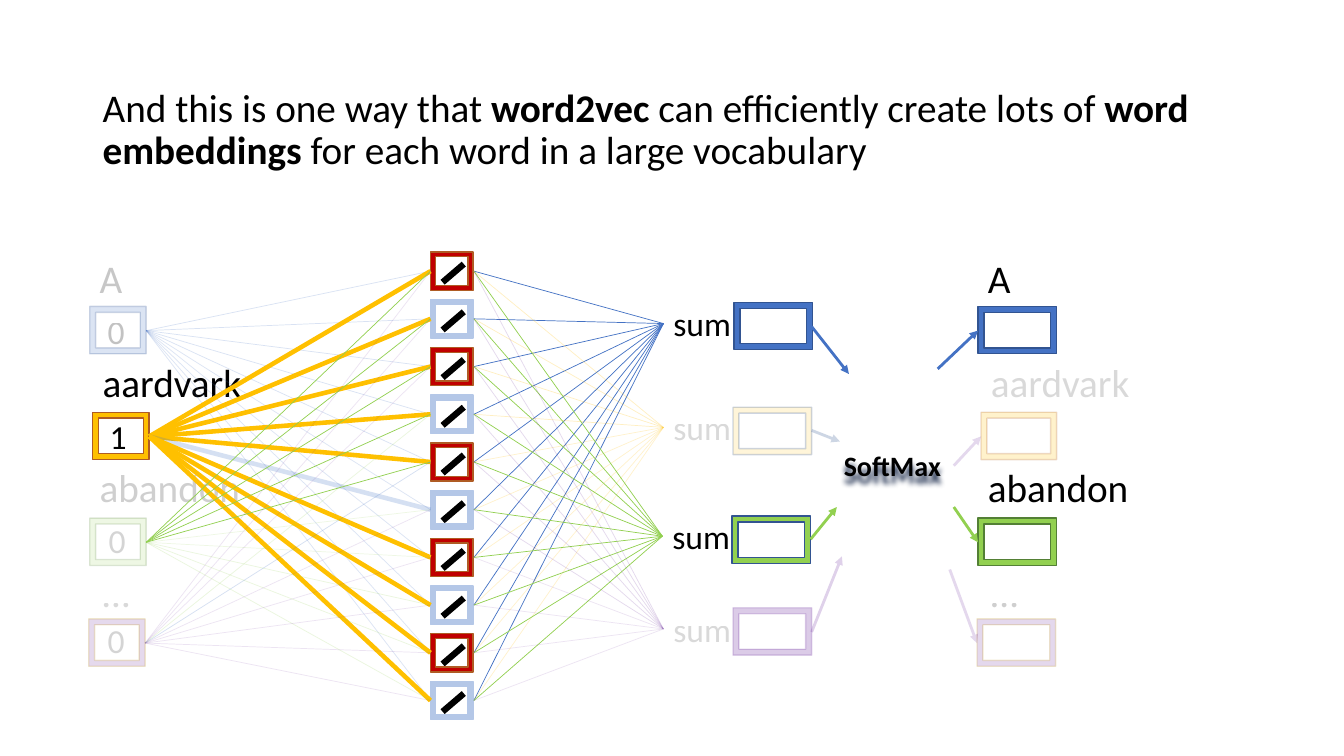
import dataclasses

import lxml.etree
import pptx
import pptx.dml.color
import pptx.enum.shapes
import pptx.oxml.ns
import pptx.util

Inches = pptx.util.Inches
Pt = pptx.util.Pt
qn = pptx.oxml.ns.qn


@dataclasses.dataclass(frozen=True)
class Theme:
    font: str = "Calibri"
    black: str = "000000"
    blue: str = "4472C4"
    navy: str = "325491"
    gold: str = "FFC000"
    rust: str = "AF5C24"
    green: str = "92D050"
    moss: str = "538035"
    purple: str = "7030A0"
    ochre: str = "BD8E00"
    red: str = "C00000"
    pale: str = "B4C7E7"
    shadow: str = "203050"
    word: int = 28
    value: int = 24
    softmax: int = 20
    thin: float = 0.5
    outline: float = 1
    arrow: float = 2
    weight: float = 3.25
    slash: float = 4.5


THEME = Theme()
NEURON_COUNT = 10
NEURON_LEFT, NEURON_RIGHT = 4.27, 4.7
FIRST_CENTRE, LAST_CENTRE = 2.69, 6.95
NEURON_STEP = (LAST_CENTRE - FIRST_CENTRE) / (NEURON_COUNT - 1)
CENTRES = [FIRST_CENTRE + NEURON_STEP * index for index in range(NEURON_COUNT)]
BOX_HEIGHT = 0.47


def paint(fill, colour, opacity=100):
    fill.solid()
    fill.fore_color.rgb = pptx.dml.color.RGBColor.from_string(colour)
    if opacity < 100:
        node = fill._xPr.find(".//" + qn("a:srgbClr"))
        lxml.etree.SubElement(node, qn("a:alpha"), val=str(opacity * 1000))


def add_text(slide, runs, left, top, width, height, size, opacity=100, wrap=True):
    box = slide.shapes.add_textbox(Inches(left), Inches(top), Inches(width), Inches(height))
    box.text_frame.word_wrap = wrap
    paragraph = box.text_frame.paragraphs[0]
    paragraph.font.name = THEME.font
    paragraph.font.size = Pt(size)
    paint(paragraph.font.fill, THEME.black, opacity)
    for text, bold in runs:
        run = paragraph.add_run()
        run.text = text
        run.font.bold = bold
    return box


def add_frame(slide, left, top, width, height, colour, outline, opacity=100, line_opacity=100):
    shape = slide.shapes.add_shape(
        pptx.enum.shapes.MSO_SHAPE.FRAME, Inches(left), Inches(top), Inches(width), Inches(height))
    shape.shadow.inherit = False
    paint(shape.fill, colour, opacity)
    shape.line.width = Pt(THEME.outline)
    paint(shape.line.fill, outline, line_opacity)


def add_line(slide, start, end, colour, width, opacity=100, arrow=False):
    connector = slide.shapes.add_connector(
        pptx.enum.shapes.MSO_CONNECTOR.STRAIGHT, *map(Inches, start + end))
    connector.line.width = Pt(width)
    paint(connector.line.fill, colour, opacity)
    if arrow:
        lxml.etree.SubElement(connector.line.fill._xPr, qn("a:tailEnd"), type="triangle")
    lxml.etree.SubElement(connector._element.spPr, qn("a:effectLst"))


def add_fan(slide, origin, edge, width, strokes):
    for centre, (colour, opacity) in zip(CENTRES, strokes):
        add_line(slide, origin, (edge, centre), colour, width, opacity)


def add_softmax(slide):
    box = add_text(slide, [("SoftMax", True)], 8.27, 4.4, 1.19, 0.44, THEME.softmax)
    effects = lxml.etree.SubElement(box._element.spPr, qn("a:effectLst"))
    shadow = lxml.etree.SubElement(
        effects, qn("a:outerShdw"), blurRad=str(Pt(4)), dist=str(Pt(5)), dir="5400000")
    lxml.etree.SubElement(shadow, qn("a:srgbClr"), val=THEME.shadow)


def add_words(slide):
    for text, left, top, opacity in [
        ("A", 0.89, 2.47, 21), ("aardvark", 0.92, 3.51, 100),
        ("abandon", 0.89, 4.55, 18), ("…", 0.92, 5.59, 15),
        ("A", 9.7, 2.47, 100), ("aardvark", 9.73, 3.51, 15),
        ("abandon", 9.7, 4.55, 100), ("…", 9.73, 5.59, 18),
    ]:
        add_text(slide, [(text, False)], left, top, 1.63, 0.57, THEME.word, opacity)


def add_boxes(slide):
    t = THEME
    for left, top, width, colour, outline, opacity, line_opacity in [
        (0.89, 3.04, 0.56, t.blue, t.navy, 19, 21),
        (0.92, 4.09, 0.56, t.gold, t.rust, 100, 100),
        (0.89, 5.14, 0.56, t.green, t.moss, 15, 18),
        (0.88, 6.14, 0.56, t.purple, t.ochre, 18, 19),
        (7.28, 3.0, 0.78, t.blue, t.navy, 100, 100),
        (7.27, 4.04, 0.78, t.gold, t.navy, 15, 23),
        (7.26, 5.12, 0.78, t.green, t.navy, 100, 100),
        (7.27, 6.03, 0.78, t.purple, t.purple, 25, 22),
        (9.7, 3.04, 0.78, t.blue, t.navy, 100, 100),
        (9.73, 4.09, 0.75, t.gold, t.rust, 20, 22),
        (9.7, 5.14, 0.78, t.green, t.moss, 100, 100),
        (9.69, 6.14, 0.78, t.purple, t.ochre, 19, 19),
    ]:
        add_frame(slide, left, top, width, BOX_HEIGHT, colour, outline, opacity, line_opacity)


def add_sums(slide):
    for left, top, opacity in [
        (6.58, 2.96, 100), (6.58, 3.99, 15), (6.57, 5.07, 100), (6.58, 5.99, 15),
    ]:
        add_text(slide, [("sum", False)], left, top, 0.8, 0.5, THEME.value, opacity)


def add_arrows(slide):
    for start, end, colour, opacity in [
        ((8.05, 3.24), (8.42, 3.71), THEME.blue, 100),
        ((8.05, 4.27), (8.33, 4.38), THEME.navy, 23),
        ((8.04, 5.35), (8.3, 5.03), THEME.green, 100),
        ((8.05, 6.27), (8.35, 5.52), THEME.purple, 22),
        ((9.3, 3.66), (9.7, 3.28), THEME.blue, 100),
        ((9.46, 4.62), (9.73, 4.33), THEME.purple, 18),
        ((9.46, 5.03), (9.7, 5.38), THEME.green, 100),
        ((9.42, 5.65), (9.69, 6.38), THEME.purple, 18),
    ]:
        add_line(slide, start, end, colour, THEME.arrow, opacity, arrow=True)


def add_neurons(slide):
    styles = [(THEME.red, THEME.rust), (THEME.pale, THEME.pale)]
    for index, centre in enumerate(CENTRES):
        add_line(slide, (4.39, centre + 0.11), (4.6, centre - 0.07), THEME.black, THEME.slash)
        add_frame(slide, NEURON_LEFT, centre - 0.19, 0.42, 0.38, *styles[index % 2])


def add_weights(slide):
    t = THEME
    gold = [(t.gold, 100)] * NEURON_COUNT
    gold[5] = (t.blue, 21)
    purple = [(t.purple, 12)] * NEURON_COUNT
    purple[3:5] = [(t.green, 19), (t.blue, 21)]
    green = [(t.green, 100)] * 5 + [(t.green, 14)] * 2 + [(t.green, 19)] * 3
    right_purple = [(t.purple, 18)] * 6 + [(t.purple, 12)] * 4
    for origin, edge, width, strokes in [
        ((1.45, 3.28), NEURON_LEFT, t.thin, [(t.blue, 20)] * 5 + [(t.blue, 18)] * 5),
        ((6.58, 3.21), NEURON_RIGHT, t.thin, [(t.blue, 100)] * NEURON_COUNT),
        ((1.48, 4.33), NEURON_LEFT, t.weight, gold),
        ((1.45, 5.38), NEURON_LEFT, t.thin, green),
        ((1.44, 6.38), NEURON_LEFT, t.thin, purple),
        ((6.58, 4.24), NEURON_RIGHT, t.thin, [(t.gold, 24)] * 4 + [(t.gold, 20)] * 6),
        ((6.57, 5.32), NEURON_RIGHT, t.thin, [(t.green, 100)] * NEURON_COUNT),
        ((6.58, 6.24), NEURON_RIGHT, t.thin, right_purple),
    ]:
        add_fan(slide, origin, edge, width, strokes)


def add_inputs(slide):
    for text, left, top, opacity in [
        ("0", 0.97, 3.04, 24), ("1", 0.99, 4.08, 100), ("0", 0.98, 5.11, 16), ("0", 0.97, 6.1, 16),
    ]:
        add_text(slide, [(text, False)], left, top, 0.37, 0.5, THEME.value, opacity, wrap=False)


def main():
    presentation = pptx.Presentation()
    presentation.slide_width = Inches(13.33)
    presentation.slide_height = Inches(7.5)
    slide = presentation.slides.add_slide(presentation.slide_layouts[6])
    headline = add_text(slide, [
        ("And this is one way that ", False), ("word2vec", True),
        (" can efficiently create lots of ", False), ("word embeddings", True),
        (" for each word in a large vocabulary", False),
    ], 0.92, 0.83, 11.5, 5.92, THEME.word)
    headline.text_frame.paragraphs[0].line_spacing = 0.9
    headline.text_frame.paragraphs[0].space_before = Pt(10)
    add_words(slide)
    add_boxes(slide)
    add_sums(slide)
    add_softmax(slide)
    add_arrows(slide)
    add_neurons(slide)
    add_weights(slide)
    add_inputs(slide)
    presentation.save("out.pptx")


if __name__ == "__main__":
    main()
